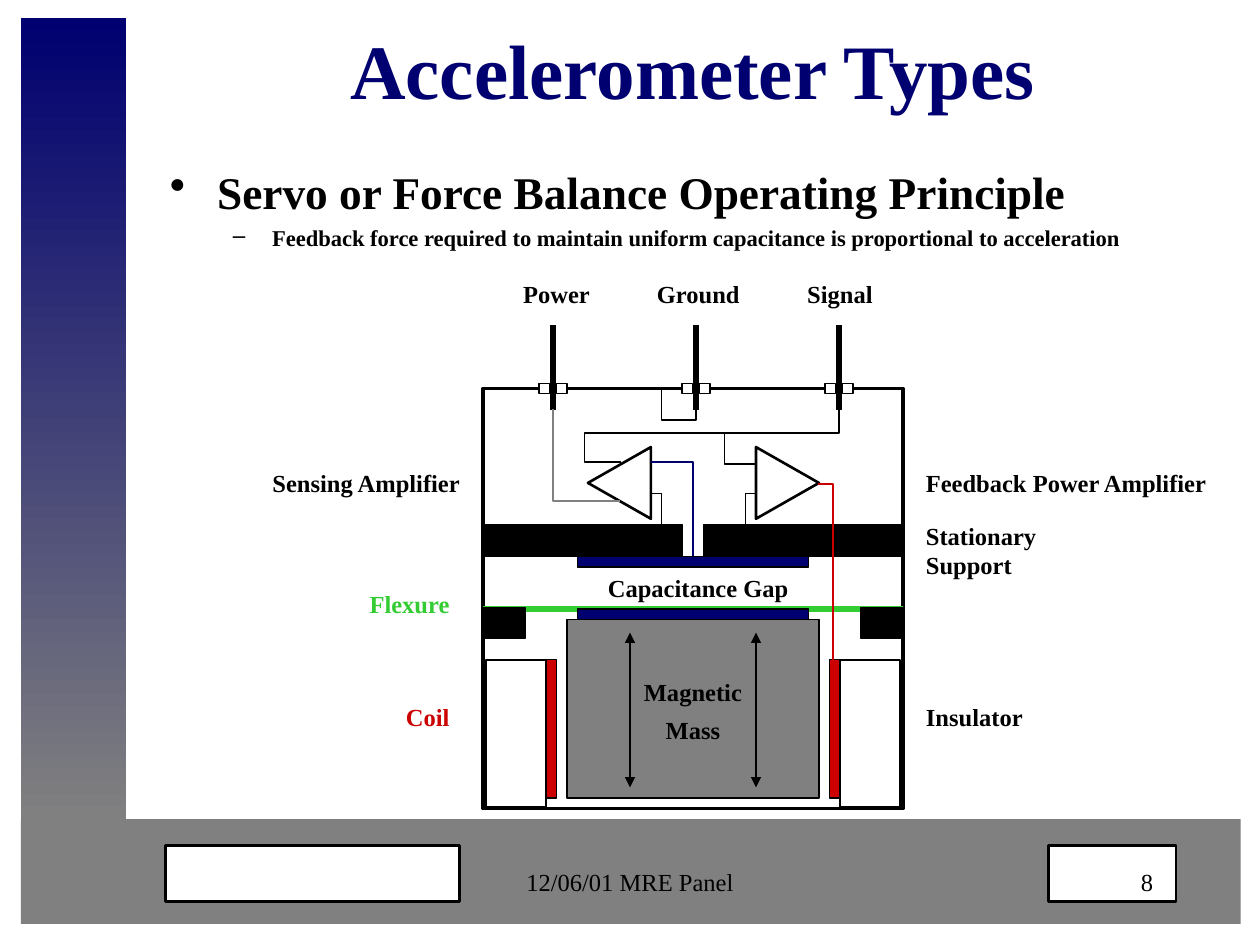
from lxml import etree
from pptx import Presentation
from pptx.dml.color import RGBColor
from pptx.enum.shapes import MSO_CONNECTOR, MSO_SHAPE
from pptx.enum.text import MSO_ANCHOR, PP_ALIGN
from pptx.oxml.ns import qn
from pptx.util import Pt

COLORS = {
    "navy": "000070", "gray": "808080", "black": "000000",
    "white": "FFFFFF", "green": "33CC33", "red": "CC0000",
}
FONT = "Times New Roman"
LABEL = {"size": Pt(14), "bold": True, "name": FONT}
FOOTER = {"size": Pt(14), "bold": False, "name": FONT}
TITLE = {"size": Pt(44), "bold": True, "name": FONT}
HEADING = {"size": Pt(25.9), "bold": True, "name": FONT}
DETAIL = {"size": Pt(12.9), "bold": True, "name": FONT}
LEFT, CENTER, RIGHT = PP_ALIGN.LEFT, PP_ALIGN.CENTER, PP_ALIGN.RIGHT


def rgb(color):
    return RGBColor.from_string(COLORS[color])


def add_box(slide, box, fill=None, line="black", width=0.75):
    shape = slide.shapes.add_shape(MSO_SHAPE.RECTANGLE, *map(Pt, box))
    shape.shadow.inherit = False
    if fill:
        shape.fill.solid()
        shape.fill.fore_color.rgb = rgb(fill)
    else:
        shape.fill.background()
    if line:
        shape.line.color.rgb = rgb(line)
        shape.line.width = Pt(width)
    else:
        shape.line.fill.background()
    return shape


def add_line(slide, start, end, color="black", width=1, arrows=False):
    line = slide.shapes.add_connector(
        MSO_CONNECTOR.STRAIGHT, *map(Pt, (*start, *end)))
    line.line.color.rgb = rgb(color)
    line.line.width = Pt(width)
    properties = line._element.spPr
    if arrows:
        outline = line.line._get_or_add_ln()
        for tag in ("a:headEnd", "a:tailEnd"):
            etree.SubElement(outline, qn(tag), type="triangle")
    etree.SubElement(properties, qn("a:effectLst"))


def add_path(slide, origin, points, color="black", width=1, close=False):
    """Draw an unfilled outline through points measured from origin."""
    left, top = origin
    (first_x, first_y), *others = [
        (Pt(left + x), Pt(top + y)) for x, y in points]
    builder = slide.shapes.build_freeform(first_x, first_y)
    builder.add_line_segments(others, close=close)
    shape = builder.convert_to_shape()
    shape.shadow.inherit = False
    shape.fill.background()
    shape.line.color.rgb = rgb(color)
    shape.line.width = Pt(width)


def format_paragraph(paragraph, text, font, color, **layout):
    run = paragraph.add_run()
    run.text = text
    run.font.color.rgb = rgb(color)
    for name, value in font.items():
        setattr(run.font, name, value)
    for name, value in layout.items():
        setattr(paragraph, name, value)


def add_text(slide, box, lines, font=LABEL, align=LEFT, anchor=MSO_ANCHOR.TOP,
             **layout):
    """Add a text box; each line is a (text, color) pair."""
    frame = slide.shapes.add_textbox(*map(Pt, box)).text_frame
    frame.word_wrap = True
    frame.vertical_anchor = anchor
    for index, (text, color) in enumerate(lines):
        paragraph = frame.add_paragraph() if index else frame.paragraphs[0]
        format_paragraph(paragraph, text, font, color, alignment=align, **layout)
    return frame


def add_bullet(paragraph, character, margin, indent):
    properties = paragraph._p.get_or_add_pPr()
    properties.set("marL", str(Pt(margin)))
    properties.set("indent", str(Pt(indent)))
    etree.SubElement(properties, qn("a:buChar"), char=character)


def add_frame(slide, left, top):
    """Side band, bottom bar and footer."""
    band = add_box(slide, (left, top, 60, 458), "navy", line=None)
    band.fill.gradient()
    band.fill.gradient_angle = 270
    for stop, color, position in zip(
            band.fill.gradient_stops, ("navy", "gray"), (0, 1)):
        stop.color.rgb = rgb(color)
        stop.position = position
    bar_top = top + 458
    add_box(slide, (left, bar_top, 697, 60), "gray", line=None)
    for offset, width in ((82.5, 168), (587, 73)):
        add_box(slide, (left + offset, bar_top + 15, width, 32), "white", width=1.5)
    for offset, width, text, align in (
            (234, 228, "12/06/01 MRE Panel", CENTER), (504, 150, "8", RIGHT)):
        add_text(slide, (left + offset, bar_top + 24, width, 36),
                 [(text, "black")], FOOTER, align)


def add_heading(slide, left, top, width):
    add_text(slide, (left, top, width, 90), [("Accelerometer Types", "navy")],
             TITLE, CENTER, MSO_ANCHOR.MIDDLE)
    frame = add_text(
        slide, (left, top + 96, width, 60),
        [("Servo or Force Balance Operating Principle", "black")],
        HEADING, space_before=Pt(7))
    add_bullet(frame.paragraphs[0], "•", 27, -27)
    detail = frame.add_paragraph()
    format_paragraph(
        detail, "Feedback force required to maintain uniform capacitance "
        "is proportional to acceleration", DETAIL, "black", space_before=Pt(3.5))
    detail.level = 1
    add_bullet(detail, "–", 58.5, -22.5)


def add_mechanics(slide, left, top, size):
    """Housing with supports, plates, mass, coils and insulators."""
    def part(x, y, width, height, fill, line_width=0.75):
        add_box(slide, (left + x, top + y, width, height), fill, width=line_width)

    def mirrored(x, y, width, height, fill, line_width=0.75):
        for side in (x, size - x - width):
            part(side, y, width, height, fill, line_width)

    part(0, 0, size, size, None, 2.25)
    add_line(slide, (left, top + 126), (left + size, top + 126), "green", 3)
    for plate_top in (96, 126):
        part(54, plate_top, 132, 6, "navy")
    mirrored(1.5, 155, 34.5, 84, "white", 1)
    part(48, 132, 144, 102, "gray")
    mirrored(36, 155, 6, 79, "red")
    mirrored(0, 78, 114, 18, "black")
    mirrored(0, 125, 24, 18, "black")
    for x in (84, 156):
        add_line(slide, (left + x, top + 139.5), (left + x, top + 228), arrows=True)


def add_circuit(slide, left, top):
    """Terminals, amplifiers and wiring."""
    origin = (left, top)
    for base, apex in ((96, 60), (156, 192)):
        add_path(slide, origin, [(base, 33.5), (base, 74.5), (apex, 54)],
                 width=1.5, close=True)
    power, ground, signal = terminals = (40, 121.75, 203.5)
    for x in terminals:
        add_line(slide, (left + x, top - 36), (left + x, top + 12), width=3)
        for offset in (-8, 2):
            add_box(slide, (left + x + offset, top - 3, 6, 6), "white")
    wires = (
        ("navy", [(120, 96), (120, 42), (96, 42)]),
        ("black", [(96, 60), (102, 60), (102, 78)]),
        ("black", [(156, 60), (150, 60), (150, 78)]),
        ("red", [(191.5, 54.5), (200, 54.5), (200, 158)]),
        ("gray", [(power, 12), (power, 64.5), (78, 64.5)]),
        ("black", [(ground, 12), (ground, 18), (102, 18), (102, 0.5)]),
        ("black", [(79, 42), (58, 42), (58, 25.5), (signal, 25.5), (signal, 10.5)]),
        ("black", [(138, 25.5), (138, 43), (155.5, 43)]),
    )
    for color, points in wires:
        add_path(slide, origin, points, color)


def add_labels(slide, left, top):
    labels = (
        ("Power", 0, -66, 84, CENTER),
        ("Ground", 72, -66, 102, CENTER),
        ("Signal", 162, -66, 84, CENTER),
        ("Capacitance Gap", 60, 102, 126, CENTER),
        ("Sensing Amplifier", -132, 42, 126, RIGHT),
        ("Feedback Power Amplifier", 246, 42, 186, LEFT),
        ("Stationary Support", 246, 72, 126, LEFT),
        ("Insulator", 246, 175.5, 126, LEFT),
    )
    for text, x, y, width, align in labels:
        add_text(slide, (left + x, top + y, width, 24.5), [(text, "black")],
                 align=align)
    add_text(slide, (left + 63, top + 165.5, 114, 41),
             [("Magnetic", "black"), ("Mass", "black")],
             align=CENTER, line_spacing=0.75, space_before=Pt(8.8))
    side = add_text(slide, (left - 126, top + 115, 114, 84),
                    [("Flexure", "green"), ("Coil", "red")],
                    align=RIGHT, line_spacing=0.75)
    side.paragraphs[1].space_before = Pt(52)


def main():
    presentation = Presentation()
    presentation.slide_width, presentation.slide_height = Pt(720), Pt(540)
    slide = presentation.slides.add_slide(presentation.slide_layouts[6])
    add_frame(slide, 12, 10)
    add_heading(slide, 90, -6, 612)
    add_mechanics(slide, 276, 222, 240)
    add_circuit(slide, 276, 222)
    add_labels(slide, 276, 222)
    presentation.save("out.pptx")


if __name__ == "__main__":
    main()
